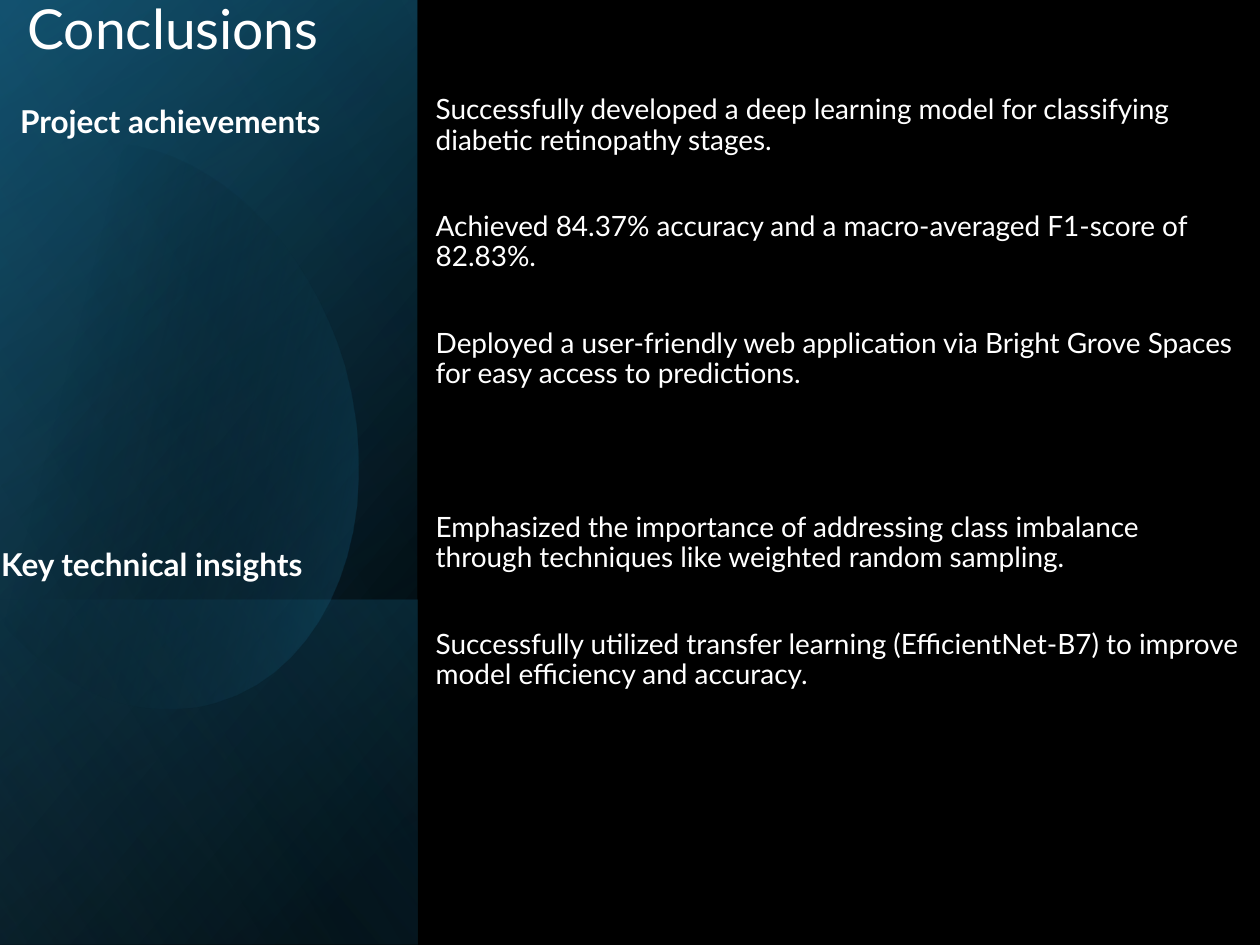
from lxml.etree import SubElement
from pptx import Presentation
from pptx.dml.color import RGBColor as RGB
from pptx.enum.shapes import MSO_SHAPE as SHAPE
from pptx.enum.text import MSO_ANCHOR as ANCHOR, MSO_AUTO_SIZE as FIT, PP_ALIGN as ALIGN
from pptx.oxml.ns import qn
from pptx.util import Inches, Pt

HEX = {"black": "000000", "navy": "104862", "teal": "156082",
       "sky": "46B1E1", "white": "FFFFFF"}
FONT = "Lato"
LAYERS = [
    (0, 7.5, 220, (8, "black", 100), (100, "navy", 100)),
    (0, 7.5, 240, (0, "black", 0), (99, "teal", 46)),
    (4.76, 2.74, 140, (2, "teal", 29), (100, "black", 30)),
]
GLOW = (0, 7.5, 150, (0, "black", 0), (99, "sky", 11))
START = (0.96, 1.14)
CURVES = [
    ((1.71, 1.22), (2.44, 1.92), (2.73, 2.9)),
    ((3.07, 4.12), (2.62, 5.31), (1.71, 5.57)),
    ((1.14, 5.74), (0.53, 5.5), (0.07, 5)),
    ((-0.03, 4.88),),
    ((-0.25, 1.66),),
    ((-0.15, 1.54),),
    ((0.02, 1.37), (0.22, 1.25), (0.45, 1.18)),
    ((0.62, 1.13), (0.79, 1.12), (0.96, 1.14)),
]
LABELS = [("Project achievements", 0.16, 0.76), ("Key technical insights", 0.01, 4.28)]
POINTS = [
    ("Successfully developed a deep learning model for classifying diabetic retinopathy stages.", 0),
    ("Achieved 84.37% accuracy and a macro-averaged F1-score of 82.83%.", 32.3),
    ("Deployed a user-friendly web application via Bright Grove Spaces for easy access to predictions.", 32.3),
    ("Emphasized the importance of addressing class imbalance through techniques like weighted random sampling.", 70.7),
    ("Successfully utilized transfer learning (EfficientNet-B7) to improve model efficiency and accuracy.", 32.3),
]


def shade(shape, angle, *stops):
    """Give a shape a linear gradient, its angle measured clockwise."""
    shape.shadow.inherit = False
    shape.line.fill.background()
    fill = shape.fill
    fill.gradient()
    fill.gradient_angle = (360 - angle) % 360
    for stop, (place, name, _) in zip(fill.gradient_stops, stops):
        stop.position = place / 100
        stop.color.rgb = RGB.from_string(HEX[name])
    grad = shape.element.spPr.find(qn("a:gradFill"))
    for color, (_, _, alpha) in zip(grad.iter(qn("a:srgbClr")), stops):
        SubElement(color, qn("a:alpha")).set("val", str(alpha * 1000))


def trace(start, curves, steps=16):
    """Return the points along a chain of lines and cubic curves."""
    points = [start]
    for curve in curves:
        if len(curve) == 1:
            points.append(curve[0])
            continue
        nodes = (points[-1], *curve)
        for step in range(1, steps + 1):
            t = step / steps
            u = 1 - t
            parts = (u ** 3, 3 * u * u * t, 3 * u * t * t, t ** 3)
            points.append(tuple(sum(k * node[axis] for k, node in zip(parts, nodes))
                                for axis in (0, 1)))
    return points


def write(para, text, size, **more):
    """Fill a paragraph with one run of white text."""
    run = para.add_run()
    run.text = text
    run.font.color.rgb = RGB.from_string(HEX["white"])
    for key, value in {"name": FONT, "size": Pt(size), **more}.items():
        setattr(run.font, key, value)


def add_layer(slide, left, top, width, layer):
    """Lay one gradient band over the side panel."""
    down, height, angle, *stops = layer
    band = slide.shapes.add_shape(SHAPE.RECTANGLE, Inches(left), Inches(top + down),
                                  Inches(width), Inches(height))
    shade(band, angle, *stops)


def add_panel(slide, left, top, width):
    """Draw the side panel with its bands and rounded blob."""
    for layer in LAYERS:
        add_layer(slide, left, top, width, layer)
    first, *rest = [(Inches(left + x), Inches(top + y)) for x, y in trace(START, CURVES)]
    pen = slide.shapes.build_freeform(*first)
    pen.add_line_segments(rest)
    shade(pen.convert_to_shape(), 14, (29, "black", 0), (100, "teal", 43))
    add_layer(slide, left, top, width, GLOW)


def set_title(slide, left, top, width, height):
    """Place and format the title."""
    title = slide.shapes.title
    box = {"left": left, "top": top, "width": width, "height": height}
    for key, value in box.items():
        setattr(title, key, Inches(value))
    frame = title.text_frame
    frame.auto_size = FIT.NONE
    frame.vertical_anchor = ANCHOR.BOTTOM
    para = frame.paragraphs[0]
    para.alignment = ALIGN.LEFT
    para.line_spacing = 0.9
    write(para, "Conclusions", 31.5)


def add_labels(slide, left, top):
    """Add the bold section labels on the side panel."""
    for text, across, down in LABELS:
        box = slide.shapes.add_textbox(Inches(left + across), Inches(top + down),
                                       Inches(2.6), Inches(0.4))
        box.text_frame.margin_left = box.text_frame.margin_right = 0
        box.text_frame.word_wrap = True
        write(box.text_frame.paragraphs[0], text, 18, bold=True)


def add_points(slide, left, top, width, height):
    """Add the concluding statements."""
    frame = slide.shapes.add_textbox(*map(Inches, (left, top, width, height))).text_frame
    frame.word_wrap = True
    for index, (text, gap) in enumerate(POINTS):
        para = frame.add_paragraph() if index else frame.paragraphs[0]
        para.line_spacing = 0.9
        para.space_before = Pt(gap)
        write(para, text, 16)


def main():
    """Build and save the slide."""
    deck = Presentation()
    deck.slide_width, deck.slide_height = Inches(10), Inches(7.5)
    slide = deck.slides.add_slide(deck.slide_layouts[5])
    slide.background.fill.solid()
    slide.background.fill.fore_color.rgb = RGB.from_string(HEX["black"])
    add_panel(slide, 0, 0, 3.31)
    title = slide.shapes.title.element
    title.getparent().append(title)
    set_title(slide, 0.12, 0.09, 3.19, 0.45)
    add_points(slide, 3.36, 0.71, 6.59, 5.92)
    add_labels(slide, 0, 0)
    deck.save("out.pptx")


if __name__ == "__main__":
    main()
